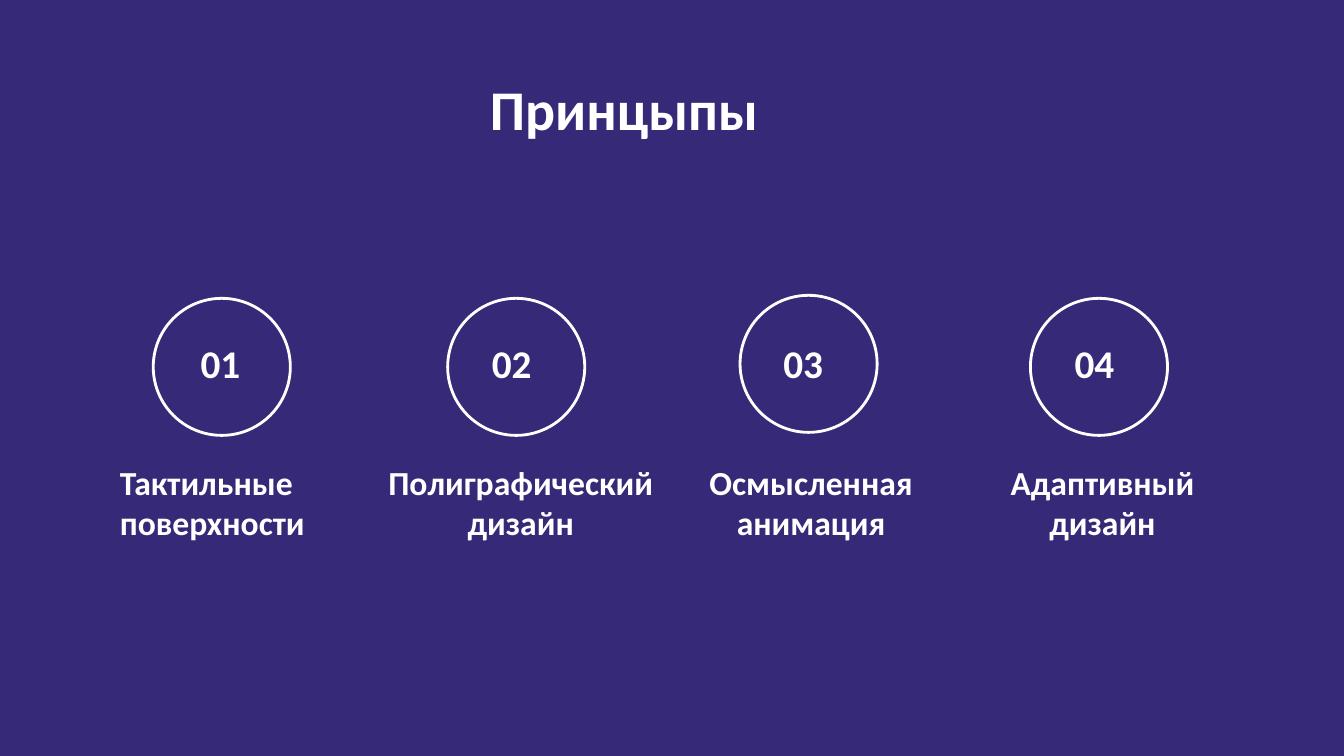
"""Builds a slide of four numbered design principles."""
from dataclasses import dataclass

from pptx import Presentation
from pptx.dml.color import RGBColor
from pptx.enum.shapes import MSO_SHAPE
from pptx.enum.text import MSO_ANCHOR, MSO_AUTO_SIZE, PP_ALIGN
from pptx.shapes.autoshape import Shape
from pptx.slide import Slide
from pptx.util import Inches, Pt

WHITE = RGBColor(0xFF, 0xFF, 0xFF)
PURPLE = RGBColor(0x36, 0x2A, 0x78)
LEFT, CENTER, JUSTIFY = PP_ALIGN.LEFT, PP_ALIGN.CENTER, PP_ALIGN.JUSTIFY
TOP = MSO_ANCHOR.TOP
GROW = MSO_AUTO_SIZE.SHAPE_TO_FIT_TEXT
OVAL = MSO_SHAPE.OVAL
TITLE_ONLY = 5
FONT = {"name": "Calibri", "bold": True}
START, PITCH = 1.89, 2.89
RING = 1.36


@dataclass(frozen=True)
class Box:
    left: float
    top: float
    width: float
    height: float

    def emus(self) -> tuple[int, ...]:
        sides = (self.left, self.top, self.width, self.height)
        return tuple(Inches(side) for side in sides)


@dataclass(frozen=True)
class Item:
    text: str
    label: Box
    ring: Box
    align: PP_ALIGN = CENTER


ITEMS = (
    Item("Тактильные поверхности", Box(1.09, 4.53, 2.37, 0.91),
         Box(1.52, 2.96, RING, RING), JUSTIFY),
    Item("Полиграфический дизайн", Box(3.74, 4.53, 2.85, 0.91),
         Box(4.44, 2.96, RING, RING)),
    Item("Осмысленная анимация", Box(6.86, 4.53, 2.37, 0.91),
         Box(7.34, 2.93, RING, RING)),
    Item("Адаптивный дизайн", Box(9.75, 4.53, 2.37, 0.91),
         Box(10.22, 2.96, RING, RING)),
)


def set_text(shape: Shape, text: str, size: int, align: PP_ALIGN,
             wrap: bool = True) -> None:
    frame = shape.text_frame
    frame.text = text
    form = {"word_wrap": wrap, "auto_size": GROW, "vertical_anchor": TOP}
    for key, value in form.items():
        setattr(frame, key, value)
    line = frame.paragraphs[0]
    line.alignment = align
    font = line.runs[0].font
    for key, value in {**FONT, "size": Pt(size)}.items():
        setattr(font, key, value)
    font.color.rgb = WHITE


def add_title(slide: Slide) -> None:
    title = slide.shapes.title
    title.left, title.top, title.width, title.height = Box(
        4.76, 0.69, 3.82, 0.77).emus()
    set_text(title, "Принцыпы", 40, JUSTIFY)


def add_item(slide: Slide, index: int, item: Item) -> None:
    place = Box(START + index * PITCH, 3.32, 0.69, 0.57)
    number = slide.shapes.add_textbox(*place.emus())
    set_text(number, f"{index + 1:02}", 28, LEFT, wrap=False)
    label = slide.shapes.add_textbox(*item.label.emus())
    set_text(label, item.text, 24, item.align)
    ring = slide.shapes.add_shape(OVAL, *item.ring.emus())
    ring.shadow.inherit = False
    ring.fill.background()
    ring.line.color.rgb = WHITE
    ring.line.width = Pt(2)


def main() -> None:
    deck = Presentation()
    deck.slide_width, deck.slide_height = Inches(13.33), Inches(7.5)
    slide = deck.slides.add_slide(deck.slide_layouts[TITLE_ONLY])
    fill = slide.background.fill
    fill.solid()
    fill.fore_color.rgb = PURPLE
    add_title(slide)
    for index, item in enumerate(ITEMS):
        add_item(slide, index, item)
    deck.save("out.pptx")


if __name__ == "__main__":
    main()
